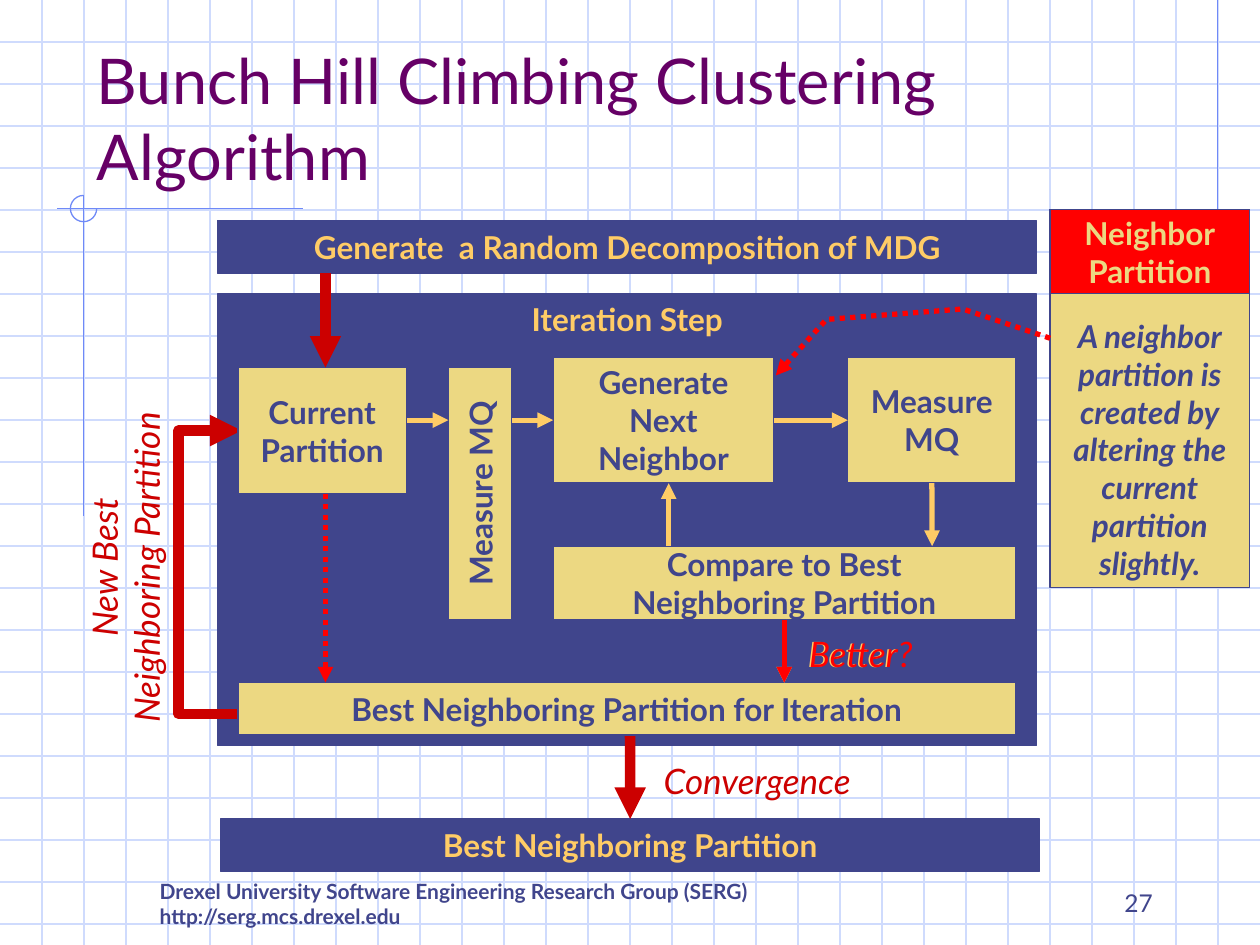
from copy import deepcopy
from dataclasses import dataclass

from lxml.etree import SubElement
from pptx import Presentation
from pptx.dml.color import RGBColor
from pptx.enum.dml import MSO_LINE
from pptx.enum.shapes import MSO_CONNECTOR, MSO_SHAPE
from pptx.enum.text import MSO_ANCHOR, PP_ALIGN
from pptx.oxml.ns import qn
from pptx.util import Cm, Pt


@dataclass(frozen=True)
class Theme:
    font: str = "Lato"
    navy: str = "40458C"
    sand: str = "ECD882"
    gold: str = "FFCC66"
    crimson: str = "CC0000"
    red: str = "FF0000"
    purple: str = "660066"
    grid: str = "CFDBFD"
    accent: str = "6F89F7"
    title_size: float = 36
    label_size: float = 20
    box_size: float = 18
    number_size: float = 14
    footer_size: float = 12
    thin: float = 0.75
    medium: float = 3
    thick: float = 6


THEME = Theme()
TOP, LEFT, BOTTOM, RIGHT = range(4)


def write_text(shape, *paragraphs, size=THEME.box_size, color=THEME.navy, bold=False,
               italic=False, align=PP_ALIGN.LEFT, anchor=MSO_ANCHOR.TOP, wrap=False):
    frame = shape.text_frame
    frame.word_wrap = wrap
    frame.vertical_anchor = anchor
    for index, text in enumerate(paragraphs):
        paragraph = frame.add_paragraph() if index else frame.paragraphs[0]
        paragraph.text = text
        paragraph.alignment = align
        for run in paragraph.runs:
            font = run.font
            font.name = THEME.font
            font.size = Pt(size)
            font.bold = bold
            font.italic = italic
            font.color.rgb = RGBColor.from_string(color)
        for line_break in paragraph._p.findall(qn("a:br")):
            line_break.append(deepcopy(paragraph.runs[0]._r.rPr))


class SlideBuilder:
    def __init__(self, presentation, theme):
        self.theme = theme
        self.slide = presentation.slides.add_slide(presentation.slide_layouts[5])
        self.shapes = self.slide.shapes

    def stroke(self, shape, color, width, dash=None, arrow=False):
        shape.line.color.rgb = RGBColor.from_string(color)
        shape.line.width = Pt(width)
        if dash:
            shape.line.dash_style = dash
        if arrow:
            outline = shape.line._get_or_add_ln()
            SubElement(outline, qn("a:round"))
            SubElement(outline, qn("a:tailEnd"), type="triangle")

    def title(self, text, left, top, width, height):
        shape = self.shapes.title
        self.shapes._spTree.append(shape._element)
        shape.left, shape.top, shape.width, shape.height = map(Cm, (left, top, width, height))
        write_text(shape, text, size=self.theme.title_size, color=self.theme.purple,
                   anchor=MSO_ANCHOR.BOTTOM, wrap=True)

    def label(self, left, top, width, height, *paragraphs, rotation=0, **text_format):
        shape = self.shapes.add_textbox(*map(Cm, (left, top, width, height)))
        shape.rotation = rotation
        write_text(shape, *paragraphs, **text_format)

    def box(self, left, top, width, height, *paragraphs, fill=None, rotation=0,
            anchor=MSO_ANCHOR.MIDDLE, **text_format):
        shape = self.shapes.add_shape(MSO_SHAPE.RECTANGLE, *map(Cm, (left, top, width, height)))
        shape.rotation = rotation
        shape.shadow.inherit = False
        shape.fill.solid()
        shape.fill.fore_color.rgb = RGBColor.from_string(fill or self.theme.sand)
        self.stroke(shape, self.theme.navy, self.theme.thin)
        write_text(shape, *paragraphs, bold=True, align=PP_ALIGN.CENTER, anchor=anchor,
                   **text_format)
        return shape

    def bar(self, left, top, width, height, text, **text_format):
        return self.box(left, top, width, height, text, fill=self.theme.navy,
                        color=self.theme.gold, **text_format)

    def line(self, start, end, color, width, begin_at=None, end_at=None, **stroke_format):
        connector = self.shapes.add_connector(MSO_CONNECTOR.STRAIGHT, *map(Cm, (*start, *end)))
        if begin_at:
            connector.begin_connect(*begin_at)
        if end_at:
            connector.end_connect(*end_at)
        self.stroke(connector, color, width, **stroke_format)
        SubElement(connector._element.spPr, qn("a:effectLst"))

    def arrow(self, start, end, color=THEME.gold, width=THEME.medium, **line_format):
        self.line(start, end, color, width, arrow=True, **line_format)

    def bent_arrow(self, points, color, width, dash=None):
        start, *corners = [tuple(map(Cm, point)) for point in points]
        builder = self.shapes.build_freeform(*start)
        builder.add_line_segments(corners, close=False)
        shape = builder.convert_to_shape()
        shape.shadow.inherit = False
        shape.fill.background()
        self.stroke(shape, color, width, dash=dash, arrow=True)

    def arc(self, left, top, size, color, width):
        shape = self.shapes.add_shape(MSO_SHAPE.ARC, *map(Cm, (left, top, size, size)))
        shape.adjustments[0] = 0
        shape.adjustments[1] = 162
        shape.shadow.inherit = False
        shape.fill.background()
        self.stroke(shape, color, width)


def draw_background(builder):
    step = 2.54 / 3
    for row in range(1, 23):
        builder.line((0, row * step), (25.4, row * step), THEME.grid, THEME.thin)
    for column in range(1, 30):
        builder.line((column * step, 0), (column * step, 19.05), THEME.grid, THEME.thin)
    for start, end in (((24.55, 0), (24.55, 6.56)), ((6.1, 4.21), (1.15, 4.21)),
                       ((1.69, 3.93), (1.69, 10.4))):
        builder.line(start, end, THEME.accent, THEME.thin)
    builder.arc(1.42, 3.94, 0.53, THEME.accent, THEME.thin)


def draw_iteration(builder):
    builder.bar(4.39, 4.45, 16.51, 1.06, "Generate  a Random Decomposition of MDG")
    builder.bar(4.39, 5.93, 16.51, 9.1, "Iteration Step", anchor=MSO_ANCHOR.TOP)
    generate = builder.box(11.15, 7.2, 4.45, 2.54, "Generate", "Next", "Neighbor")
    builder.arrow((10.31, 8.47), (11.15, 8.47), end_at=(generate, LEFT))
    measure = builder.box(17.09, 7.2, 3.39, 2.54, "Measure", "MQ")
    builder.arrow((15.6, 8.47), (17.09, 8.47), begin_at=(generate, RIGHT),
                  end_at=(measure, LEFT))
    compare = builder.box(11.15, 11.01, 9.32, 1.48, "Compare to Best", "Neighboring Partition")
    builder.arrow((18.79, 9.74), (18.79, 11.01), begin_at=(measure, BOTTOM))
    builder.arrow((13.48, 11.01), (13.48, 9.74))
    builder.box(7.14, 9.31, 5.08, 1.27, "Measure MQ", rotation=270)
    builder.arrow((8.2, 8.47), (9.04, 8.47))
    return compare


def draw_results(builder):
    label_format = dict(size=THEME.label_size, color=THEME.crimson, italic=True)
    best = builder.bar(4.45, 16.51, 16.51, 1.06, "Best Neighboring Partition")
    builder.label(-1.16, 10.46, 7.37, 1.96, "New Best", "Neighboring Partition",
                  rotation=270, align=PP_ALIGN.CENTER, **label_format)
    builder.bent_arrow([(4.87, 14.39), (3.6, 14.39), (3.6, 8.68), (4.87, 8.68)],
                       THEME.crimson, THEME.thick)
    builder.arrow((12.7, 14.82), (12.7, 16.51), THEME.crimson, THEME.thick,
                  end_at=(best, TOP))
    builder.label(13.13, 15.18, 4.52, 1.12, "Convergence", **label_format)
    builder.box(4.8, 13.76, 15.67, 1.06, "Best Neighboring Partition for Iteration")
    builder.box(4.8, 7.41, 3.39, 2.54, "Current", "Partition")
    builder.arrow((6.56, 5.51), (6.56, 7.41), THEME.crimson, THEME.thick)
    builder.arrow((6.56, 9.95), (6.56, 13.76), THEME.red, dash=MSO_LINE.ROUND_DOT)


def draw_neighbor_note(builder):
    builder.box(21.17, 4.23, 4.02, 7.62,
                "A neighbor\npartition is\ncreated by\naltering the\ncurrent\npartition\nslightly.",
                italic=True, anchor=MSO_ANCHOR.BOTTOM)
    builder.bent_arrow([(21.17, 6.82), (19.41, 6.23), (16.66, 6.44), (15.64, 7.57)],
                       THEME.red, THEME.medium, dash=MSO_LINE.ROUND_DOT)
    builder.box(21.17, 4.23, 4.02, 1.69, "Neighbor", "Partition", fill=THEME.red,
                color=THEME.sand)


def main():
    presentation = Presentation()
    presentation.slide_width, presentation.slide_height = Cm(25.4), Cm(19.05)
    builder = SlideBuilder(presentation, THEME)
    draw_background(builder)
    builder.label(2.97, 17.58, 16.51, 1.27,
                  "Drexel University Software Engineering Research Group (SERG)\n"
                  "http://serg.mcs.drexel.edu",
                  size=THEME.footer_size, bold=True, wrap=True)
    builder.title("Bunch Hill Climbing Clustering Algorithm", 1.7, 0.84, 21.59, 3.18)
    compare = draw_iteration(builder)
    draw_results(builder)
    draw_neighbor_note(builder)
    for text, left, width, color in (("Better", 16.03, 2.39, THEME.gold),
                                     ("Better?", 16.06, 2.69, THEME.red)):
        builder.arrow((15.81, 12.49), (15.81, 13.76), color, begin_at=(compare, BOTTOM))
        builder.label(left, 12.62, width, 1.12, text, size=THEME.label_size, color=color,
                      italic=True)
    builder.label(18.21, 17.35, 5.28, 1.27, "27", size=THEME.number_size,
                  align=PP_ALIGN.RIGHT, anchor=MSO_ANCHOR.BOTTOM, wrap=True)
    presentation.save("out.pptx")


if __name__ == "__main__":
    main()
